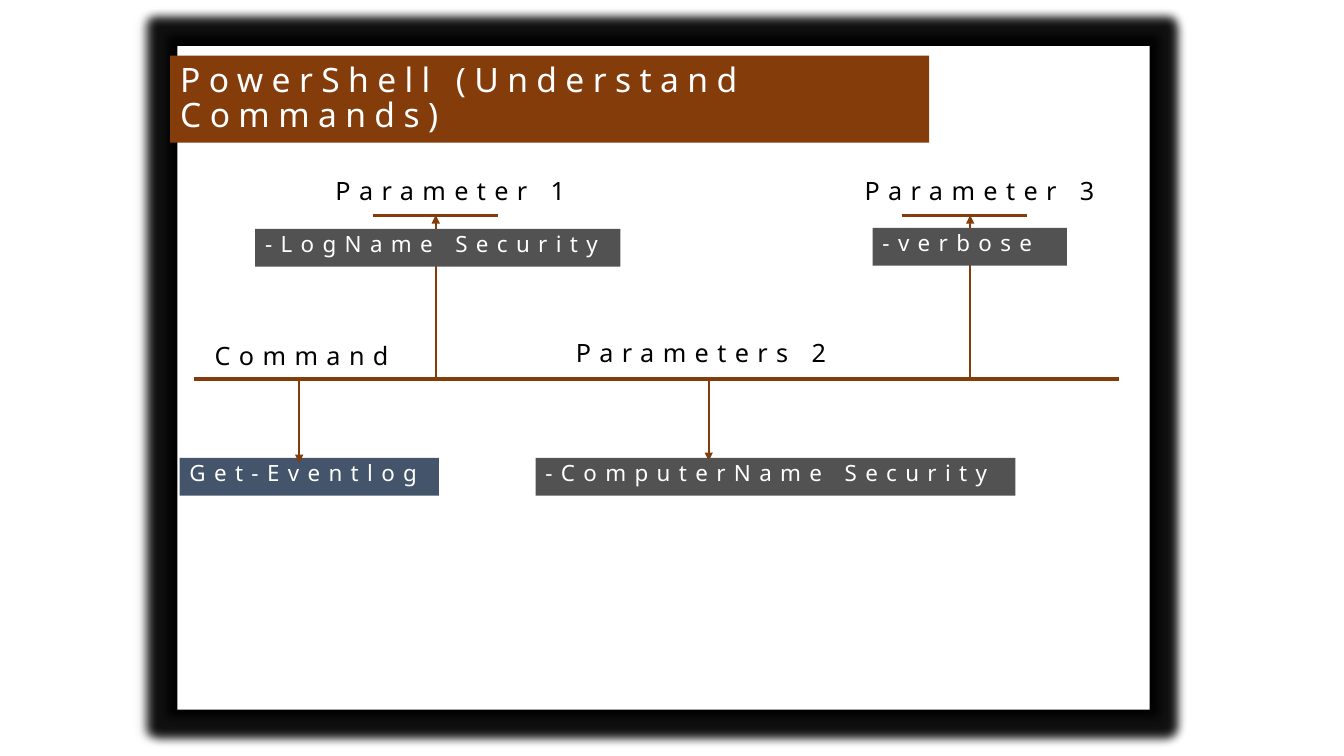
"""Build a slide that labels the parts of a PowerShell command."""
from lxml import etree
from pptx import Presentation
from pptx import util as u
from pptx.dml.color import RGBColor
from pptx.enum import shapes, text
from pptx.oxml import parse_xml
from pptx.oxml.ns import nsdecls, qn

PX = 9525
BROWN = RGBColor(0x84, 0x3C, 0x0B)
SLATE = RGBColor(0x44, 0x54, 0x6A)
GRAY = RGBColor(0x52, 0x52, 0x52)
WHITE = RGBColor(0xFF, 0xFF, 0xFF)
BLACK = RGBColor(0, 0, 0)


def write(box, words, size, color, anchor=text.MSO_ANCHOR.TOP):
    frame = box.text_frame
    form = {"word_wrap": True, "auto_size": text.MSO_AUTO_SIZE.NONE,
            "vertical_anchor": anchor, "margin_right": 0}
    for key, val in form.items():
        setattr(frame, key, val)
    para = frame.paragraphs[0]
    para.alignment = text.PP_ALIGN.LEFT
    para.line_spacing = 0.88
    run = para.add_run()
    run.text = words
    for key, val in {"name": "Noto Sans", "size": u.Pt(size), "bold": False}.items():
        setattr(run.font, key, val)
    run.font.color.rgb = color
    run.font._element.set("spc", "600")


def rule(x1, y1, x2, y2, width, arrow=False):
    line = slide.shapes.add_connector(
        shapes.MSO_CONNECTOR.STRAIGHT, *(n * PX for n in (x1, y1, x2, y2)))
    line.line.color.rgb = BROWN
    line.line.width = u.Pt(width)
    if arrow:
        etree.SubElement(line.line._get_or_add_ln(), qn("a:tailEnd"), type="triangle")
    etree.SubElement(line._element.spPr, qn("a:effectLst"))


deck = Presentation()
deck.slide_width, deck.slide_height = 1280 * PX, 720 * PX
slide = deck.slides.add_slide(deck.slide_layouts[5])

page = slide.shapes.add_shape(
    shapes.MSO_SHAPE.RECTANGLE, *(n * PX for n in (169, 44, 926, 632)))
page.fill.solid()
page.fill.fore_color.rgb = WHITE
page.line.fill.background()
page._element.spPr.append(parse_xml(
    f'<a:effectLst {nsdecls("a")}>'
    '<a:glow rad="165100"><a:srgbClr val="000000"><a:alpha val="90000"/></a:srgbClr></a:glow>'
    '<a:outerShdw blurRad="50800" dist="38100" dir="10800000" algn="r" rotWithShape="0">'
    '<a:srgbClr val="000000"><a:alpha val="40000"/></a:srgbClr></a:outerShdw></a:effectLst>'))
slide.shapes._spTree.insert(2, page._element)

title = slide.shapes.title
for key, val in {"left": 162, "top": 53, "width": 723, "height": 83}.items():
    setattr(title, key, val * PX)
title.fill.solid()
title.fill.fore_color.rgb = BROWN
write(title, "PowerShell (Understand Commands)", 24, WHITE, text.MSO_ANCHOR.MIDDLE)

rule(185, 361, 1066, 361, 2.25)
for left in (355, 859):
    rule(left, 205, left + 119, 205, 2.25)

parts = [
    ("Command", (195, 323, 211), "Get-Eventlog", (171, 436, 247), SLATE, (285, 361, 441)),
    ("Parameter 1", (310, 166, 249), "-LogName Security", (243, 218, 348), GRAY, (415, 362, 205)),
    ("Parameters 2", (539, 320, 274), "-ComputerName Security", (510, 436, 457), GRAY,
     (675, 359, 439)),
    ("Parameter 3", (814, 166, 249), "-verbose", (831, 217, 185), GRAY, (924, 362, 205)),
]
for name, spot, code, place, fill, (x, start, end) in parts:
    label = slide.shapes.add_textbox(*(n * PX for n in (*spot, 38)))
    write(label, name, 18, BLACK)
    if fill != SLATE:
        rule(x, start, x, end, 1.5, True)
    tag = slide.shapes.add_shape(
        shapes.MSO_SHAPE.RECTANGLE, *(n * PX for n in (*place, 36)))
    tag.shadow.inherit = False
    tag.fill.solid()
    tag.fill.fore_color.rgb = fill
    tag.line.fill.background()
    write(tag, code, 16, WHITE)
    if fill == SLATE:
        rule(x, start, x, end, 1.5, True)

deck.save("out.pptx")
